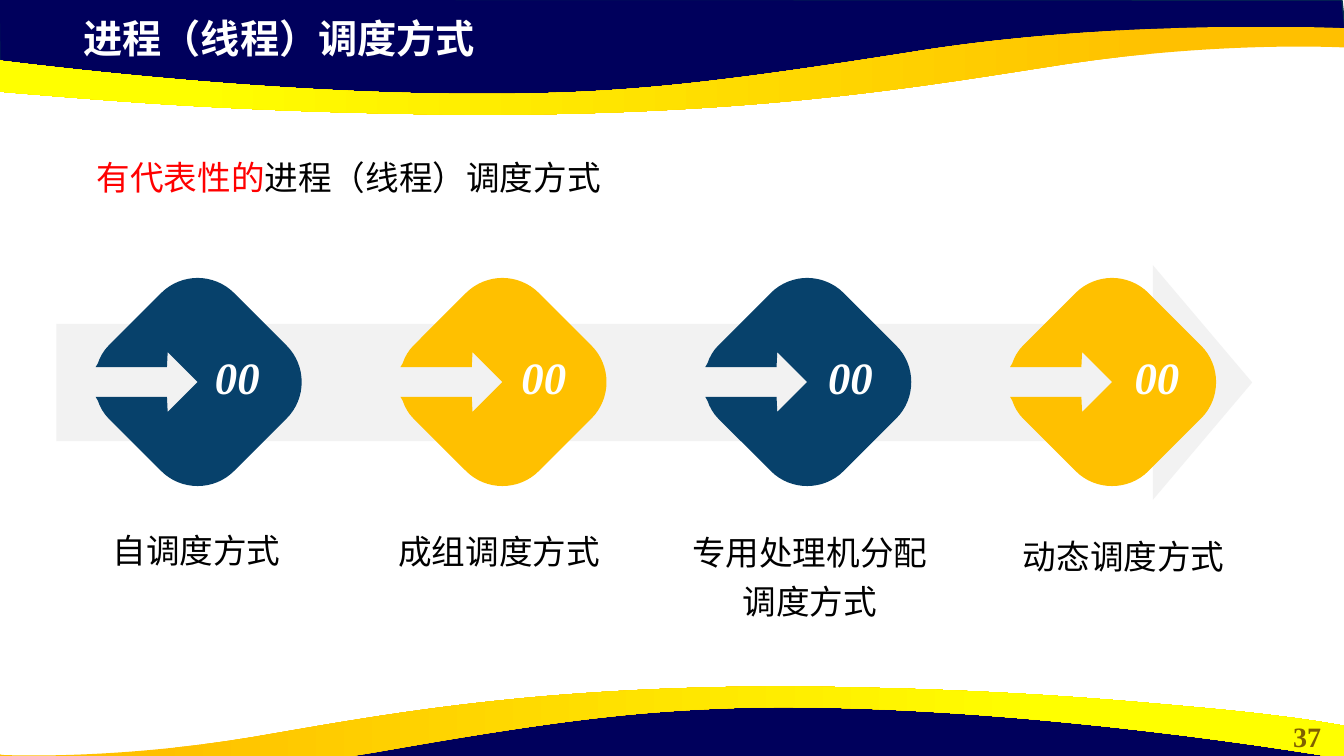
from dataclasses import dataclass

from lxml import etree
from pptx import Presentation
from pptx.dml.color import RGBColor
from pptx.enum.shapes import MSO_SHAPE
from pptx.enum.text import MSO_ANCHOR, PP_ALIGN
from pptx.oxml.ns import qn
from pptx.util import Inches, Pt

RIGHT_ARROW = MSO_SHAPE.RIGHT_ARROW
TOP, MIDDLE = MSO_ANCHOR.TOP, MSO_ANCHOR.MIDDLE
LEFT, CENTER = PP_ALIGN.LEFT, PP_ALIGN.CENTER


@dataclass(frozen=True)
class Theme:
    font: str = "Times New Roman"
    navy: RGBColor = RGBColor(0x00, 0x00, 0x5C)
    navy_edge: RGBColor = RGBColor(0x05, 0x30, 0x4F)
    gold: RGBColor = RGBColor(0xFF, 0xC0, 0x00)
    yellow: RGBColor = RGBColor(0xFF, 0xFF, 0x00)
    blue: RGBColor = RGBColor(0x07, 0x41, 0x6B)
    band: RGBColor = RGBColor(0xF2, 0xF2, 0xF2)
    red: RGBColor = RGBColor(0xFF, 0x00, 0x00)
    black: RGBColor = RGBColor(0x00, 0x00, 0x00)
    white: RGBColor = RGBColor(0xFF, 0xFF, 0xFF)
    olive: RGBColor = RGBColor(0x80, 0x60, 0x00)
    title: Pt = Pt(28)
    body: Pt = Pt(24)
    number: Pt = Pt(32)
    page: Pt = Pt(20)


theme = Theme()
prs = Presentation()
prs.slide_width, prs.slide_height = Inches(13.33), Inches(7.5)
slide = prs.slides.add_slide(prs.slide_layouts[6])
shapes = slide.shapes


def add_outline(path, dx=0, dy=0, rotation=0):
    """Close an outline of lines (x, y) and cubic curves (six numbers)."""
    anchors = [(Inches(part[-2] + dx), Inches(part[-1] + dy)) for part in path]
    builder = shapes.build_freeform(*anchors[0], scale=1.0)
    builder.add_line_segments(anchors[1:], close=True)
    outline = builder.convert_to_shape()
    # Bend the six-number segments into cubic curves
    segments = list(outline._element.iter(qn("a:lnTo")))
    for segment, part in zip(segments, path[1:]):
        if len(part) == 6:
            curve = etree.Element(qn("a:cubicBezTo"))
            for x, y in zip(part[::2], part[1::2]):
                etree.SubElement(curve, qn("a:pt"),
                                 x=str(Inches(x + dx) - outline.left),
                                 y=str(Inches(y + dy) - outline.top))
            segment.getparent().replace(segment, curve)
    outline.rotation = rotation
    outline.shadow.inherit = False
    outline.line.fill.background()
    return outline


def add_text(box, runs, size, align=LEFT, anchor=TOP, spacing=1.0, **style):
    """Write one paragraph of (text, colour) runs."""
    frame = shapes.add_textbox(*map(Inches, box)).text_frame
    frame.word_wrap = True
    frame.vertical_anchor = anchor
    paragraph = frame.paragraphs[0]
    paragraph.alignment = align
    paragraph.line_spacing = spacing
    for text, color in runs:
        run = paragraph.add_run()
        run.text = text
        run.font.color.rgb = color
        for name, value in {"name": theme.font, "size": size, **style}.items():
            setattr(run.font, name, value)


# Header and footer: a navy field under a golden ribbon
field_path = [(-0.01, -0.01), (0, 0.7), (2.93, 1.02), (5.59, 1), (7.95, 0.88),
              (10.16, 0.5), (12.38, 0.33), (13.35, 0.38), (13.31, 0)]
header_ribbon = [
    (4.83, 1.14), (4.43, 1.14, 4.01, 1.13, 3.56, 1.12),
    (2.06, 1.08, 1.1, 1, 0.36, 0.94), (-0.88, 0.84, -1.3, 0.75, -1.33, 0.75),
    (-1.33, 0.42, -1.33, 0.42, -1.33, 0.42), (-1.33, 0.42, 2.18, 0.98, 5.17, 0.93),
    (6.26, 0.91, 7.08, 0.83, 9.15, 0.5), (11.21, 0.18, 13.33, 0.28, 13.33, 0.28),
    (13.33, 0.32), (13.33, 0.47), (13.3, 0.47),
    (13.05, 0.46, 11.95, 0.43, 10.55, 0.64), (9.18, 0.85, 7.62, 1.13, 4.83, 1.14)]
footer_ribbon = [
    (7.72, 6.81), (8.09, 6.81, 8.47, 6.82, 8.88, 6.83),
    (10.25, 6.87, 11.12, 6.95, 11.79, 7.01), (12.92, 7.11, 13.3, 7.2, 13.33, 7.2),
    (13.33, 7.53, 13.33, 7.53, 13.33, 7.53), (13.33, 7.53, 10.14, 6.97, 7.42, 7.02),
    (6.42, 7.05, 5.67, 7.12, 3.8, 7.45), (1.92, 7.78, -0.01, 7.68, -0.01, 7.68),
    (-0.01, 7.64), (-0.01, 7.48), (0.02, 7.49),
    (0.25, 7.5, 1.25, 7.52, 2.52, 7.31), (3.76, 7.1, 5.19, 6.82, 7.72, 6.81)]
for dx, dy, turn, ribbon_path, angle in [(0, 0, 0, header_ribbon, 180),
                                         (-0.02, 6.92, 180, footer_ribbon, 0)]:
    field = add_outline(field_path, dx, dy, turn)
    field.fill.solid()
    field.fill.fore_color.rgb = theme.navy
    field.line.color.rgb = theme.navy_edge
    field.line.width = Pt(1)
    ribbon = add_outline(ribbon_path)
    ribbon.fill.gradient()
    ribbon.fill.gradient_angle = angle
    stops = [(0.11, theme.gold), (0.78, theme.yellow)]
    for stop, (position, color) in zip(ribbon.fill.gradient_stops, stops):
        stop.position = position
        stop.color.rgb = color

# Page number, title and lead line
add_text((12.6, 7.09, 0.73, 0.44), [("37", theme.olive)], theme.page, CENTER, bold=True)
add_text((0.73, 0.09, 7.68, 0.57), [("进程（线程）调度方式", theme.white)],
         theme.title, bold=True)
add_text((0.86, 1.31, 12.01, 0.66),
         [("有代表性的", theme.red), ("进程（线程）调度方式", theme.black)],
         theme.body, spacing=1.5)

# Wide arrow behind the four methods
band = shapes.add_shape(RIGHT_ARROW, *map(Inches, (0.56, 2.63, 11.86, 2.33)))
band.adjustments[0], band.adjustments[1] = 0.5, 0.423
band.shadow.inherit = False
band.fill.solid()
band.fill.fore_color.rgb = theme.band
band.line.fill.background()

# Rounded square with an arrow notch, measured from its centre, turned to a diamond
diamond = [
    (-0.73, -0.73), (-0.64, -0.82, -0.51, -0.88, -0.37, -0.88), (0.37, -0.88),
    (0.65, -0.88, 0.88, -0.65, 0.88, -0.37), (0.88, 0.37),
    (0.88, 0.65, 0.65, 0.88, 0.37, 0.88), (-0.37, 0.88),
    (-0.44, 0.88, -0.51, 0.86, -0.57, 0.83), (-0.61, 0.82),
    (-0.11, 0.32), (0, 0.42), (0, 0), (-0.42, 0), (-0.32, 0.11),
    (-0.82, 0.61), (-0.83, 0.57), (-0.86, 0.51, -0.88, 0.44, -0.88, 0.37),
    (-0.88, -0.37), (-0.88, -0.51, -0.82, -0.64, -0.73, -0.73)]
methods = [("自调度方式", (0.7, 5.13, 2.5, 0.58)),
           ("成组调度方式", (3.68, 5.14, 2.54, 0.64)),
           ("专用处理机分配调度方式", (6.74, 5.15, 2.58, 1.1)),
           ("动态调度方式", (9.85, 5.19, 2.59, 0.64))]
for index, (method, label_box) in enumerate(methods):
    marker = add_outline(diamond, 1.96 + 3.023 * index, 3.79, 45)
    marker.fill.solid()
    marker.fill.fore_color.rgb = (theme.blue, theme.gold)[index % 2]
    add_text((1.97 + 3.04 * index, 3.37, 0.77, 0.74), [("00", theme.white)],
             theme.number, CENTER, MIDDLE, bold=True, italic=True)
    add_text(label_box, [(method, theme.black)], theme.body, CENTER, spacing=1.2)

prs.save("out.pptx")
